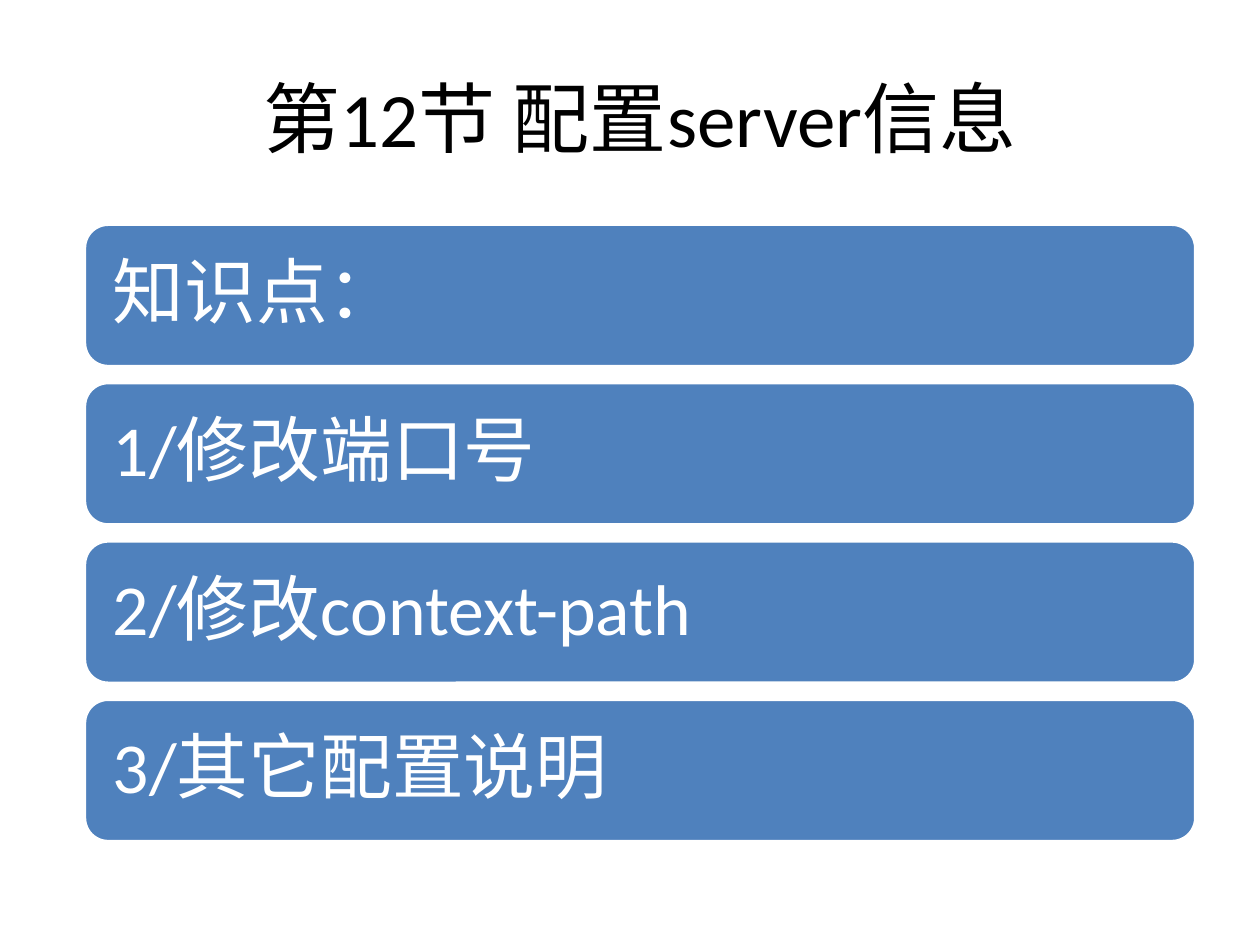
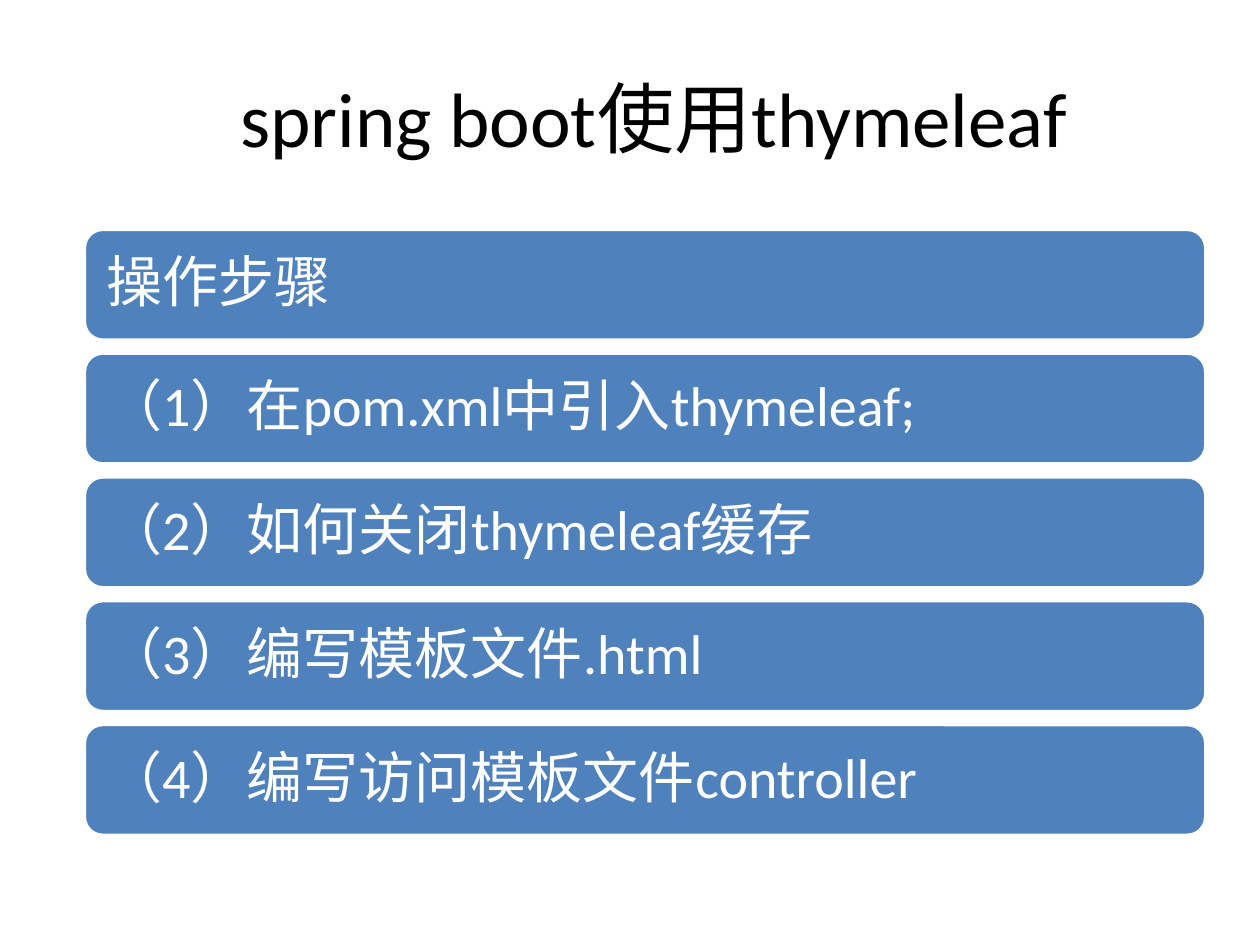
from dataclasses import dataclass

from pptx import Presentation
from pptx.dml.color import RGBColor
from pptx.enum.shapes import MSO_SHAPE
from pptx.enum.text import MSO_ANCHOR, PP_ALIGN
from pptx.util import Inches, Pt


@dataclass(frozen=True)
class Theme:
    font: str = "Calibri"
    ink: RGBColor = RGBColor(0x00, 0x00, 0x00)
    paper: RGBColor = RGBColor(0xFF, 0xFF, 0xFF)
    bar: RGBColor = RGBColor(0x4F, 0x81, 0xBD)
    title_size: int = 44
    large_size: int = 41
    small_size: int = 32
    outline: int = 2


class Deck:
    left = 0.67

    def __init__(self, theme):
        self.theme = theme
        self.prs = Presentation()
        self.prs.slide_width = Inches(10)
        self.prs.slide_height = Inches(7.5)

    def start(self, width):
        self.s = self.prs.slides.add_slide(self.prs.slide_layouts[6])
        self.s.background.fill.solid()
        self.s.background.fill.fore_color.rgb = self.theme.paper
        self.width = width

    def add_text(self, sp, text, size, color, align):
        tf = sp.text_frame
        tf.word_wrap = True
        tf.vertical_anchor = MSO_ANCHOR.MIDDLE
        p = tf.paragraphs[0]
        p.alignment = align
        r = p.add_run()
        r.text = text
        r.font.name = self.theme.font
        r.font.size = Pt(size)
        r.font.color.rgb = color
        return tf, p

    def title(self, text):
        sp = self.s.shapes.add_textbox(
            Inches(self.left), Inches(0.3), Inches(self.width), Inches(1.25))
        self.add_text(sp, text, self.theme.title_size, self.theme.ink, PP_ALIGN.CENTER)

    def bar(self, text, top, height, size, inset):
        sp = self.s.shapes.add_shape(
            MSO_SHAPE.ROUNDED_RECTANGLE,
            Inches(self.left), Inches(top), Inches(self.width), Inches(height))
        sp.shadow.inherit = False
        sp.fill.solid()
        sp.fill.fore_color.rgb = self.theme.bar
        sp.line.color.rgb = self.theme.paper
        sp.line.width = Pt(self.theme.outline)
        tf, p = self.add_text(sp, text, size, self.theme.paper, PP_ALIGN.LEFT)
        tf.margin_left = tf.margin_right = Inches(inset)
        tf.margin_top = tf.margin_bottom = Inches(inset)
        p.line_spacing = 0.9

    def bars(self, texts, top, bottom, height, size, inset):
        pitch = (bottom - top - height) / (len(texts) - 1)
        for i, text in enumerate(texts):
            self.bar(text, top + i * pitch, height, size, inset)


theme = Theme()
deck = Deck(theme)

deck.start(width=8.82)
deck.title("第12节 配置server信息")
deck.bars(
    ["知识点：", "1/修改端口号", "2/修改context-path", "3/其它配置说明"],
    top=1.78, bottom=6.68, height=1.13, size=theme.large_size, inset=0.17)

deck.start(width=8.9)
deck.title(" spring boot使用thymeleaf")
deck.bars(
    ["操作步骤",
     "（1）在pom.xml中引入thymeleaf;",
     "（2）如何关闭thymeleaf缓存",
     "（3）编写模板文件.html",
     "（4）编写访问模板文件controller"],
    top=1.82, bottom=6.63, height=0.88, size=theme.small_size, inset=0.13)

deck.prs.save("out.pptx")
